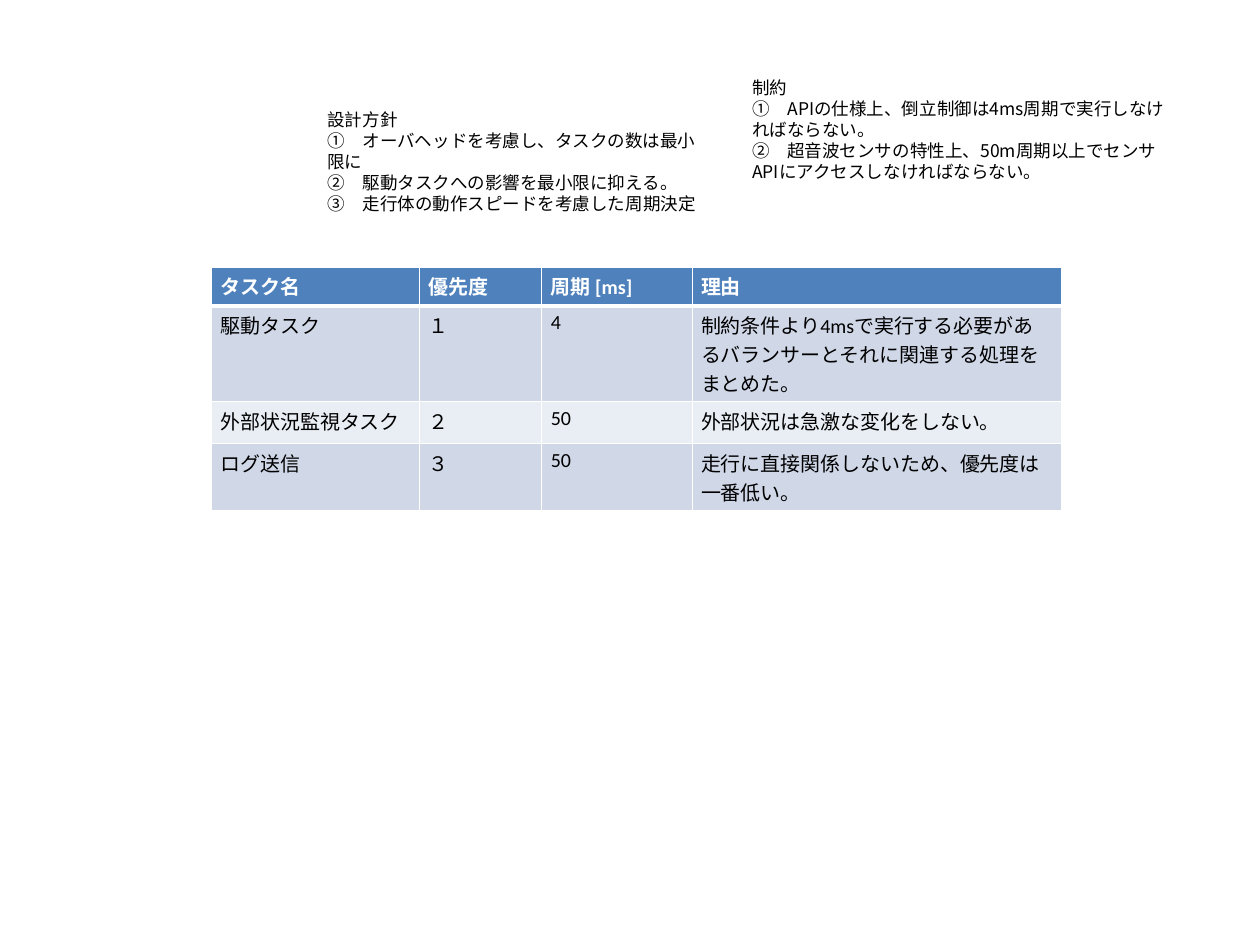
from lxml.etree import SubElement
from pptx import Presentation
from pptx.dml.color import RGBColor
from pptx.enum.text import MSO_AUTO_SIZE as AutoSize
from pptx.oxml.ns import qn
from pptx.util import Inches, Pt

COLORS = {"header": "4F81BD", "odd": "D0D8E8", "even": "E9EDF4",
          "white": "FFFFFF", "black": "000000"}
LATIN, JAPANESE = "Calibri", "Noto Sans CJK JP"

# Content: (left, top, width, height), paragraphs
NOTES = [
    ((3.54, 1.16, 4.41, 1.28), [
        "設計方針",
        "①　オーバヘッドを考慮し、タスクの数は最小限に",
        "②　駆動タスクへの影響を最小限に抑える。",
        "③　走行体の動作スピードを考慮した周期決定",
    ]),
    ((8.26, 0.81, 4.88, 1.51), [
        "制約",
        "①　APIの仕様上、倒立制御は4ms周期で実行しなければならない。",
        "②　超音波センサの特性上、50m周期以上でセンサAPIにアクセスしなければならない。",
    ]),
]
TASKS = [
    ("タスク名", "優先度", "周期 [ms]", "理由"),
    ("駆動タスク", "１", "4",
     "制約条件より4msで実行する必要があるバランサーとそれに関連する処理をまとめた。"),
    ("外部状況監視タスク", "２", "50", "外部状況は急激な変化をしない。"),
    ("ログ送信", "３", "50", "走行に直接関係しないため、優先度は一番低い。"),
]
TABLE_LEFT, TABLE_TOP = 2.35, 2.97
COL_WIDTHS = [2.31, 1.36, 1.67, 4.11]
ROW_HEIGHTS = [0.43, 1.05, 0.47, 0.74]


def add_run(p, text, size, font, color="black", bold=False):
    r = p.add_run()
    r.text = text
    r.font.size, r.font.name, r.font.bold = Pt(size), font, bold
    r.font.color.rgb = RGBColor.from_string(COLORS[color])
    SubElement(r.font._element, qn("a:ea"), typeface=JAPANESE)


def add_border(cell, side, width):
    ln = SubElement(cell._tc.get_or_add_tcPr(), qn(f"a:ln{side}"), w=str(Pt(width)))
    fill = SubElement(ln, qn("a:solidFill"))
    SubElement(fill, qn("a:srgbClr"), val=COLORS["white"])


def add_note(slide, box, lines):
    tf = slide.shapes.add_textbox(*map(Inches, box)).text_frame
    tf.word_wrap = True
    tf.auto_size = AutoSize.SHAPE_TO_FIT_TEXT
    for i, line in enumerate(lines):
        p = tf.add_paragraph() if i else tf.paragraphs[0]
        p.line_spacing = Pt(16.8)
        add_run(p, line, 14, JAPANESE)


def add_task_table(slide):
    size = sum(COL_WIDTHS), sum(ROW_HEIGHTS)
    table = slide.shapes.add_table(
        len(TASKS), len(COL_WIDTHS),
        *map(Inches, (TABLE_LEFT, TABLE_TOP, *size))).table
    for col, width in zip(table.columns, COL_WIDTHS):
        col.width = Inches(width)
    for i, (row, height) in enumerate(zip(table.rows, ROW_HEIGHTS)):
        row.height = Inches(height)
        header = i == 0
        band = "header" if header else "odd" if i % 2 else "even"
        for cell, text in zip(row.cells, TASKS[i]):
            # The rule under the header is the heavy one
            widths = {"L": 1, "R": 1, "T": 3 if i == 1 else 1, "B": 3 if header else 1}
            for side, width in widths.items():
                add_border(cell, side, width)
            cell.fill.solid()
            cell.fill.fore_color.rgb = RGBColor.from_string(COLORS[band])
            add_run(cell.text_frame.paragraphs[0], text, 16, LATIN,
                    "white" if header else "black", header)


def main():
    prs = Presentation()
    prs.slide_width, prs.slide_height = Inches(14), Inches(10.5)
    slide = prs.slides.add_slide(prs.slide_layouts[6])
    add_task_table(slide)
    for box, lines in NOTES:
        add_note(slide, box, lines)
    prs.save("out.pptx")


if __name__ == "__main__":
    main()
